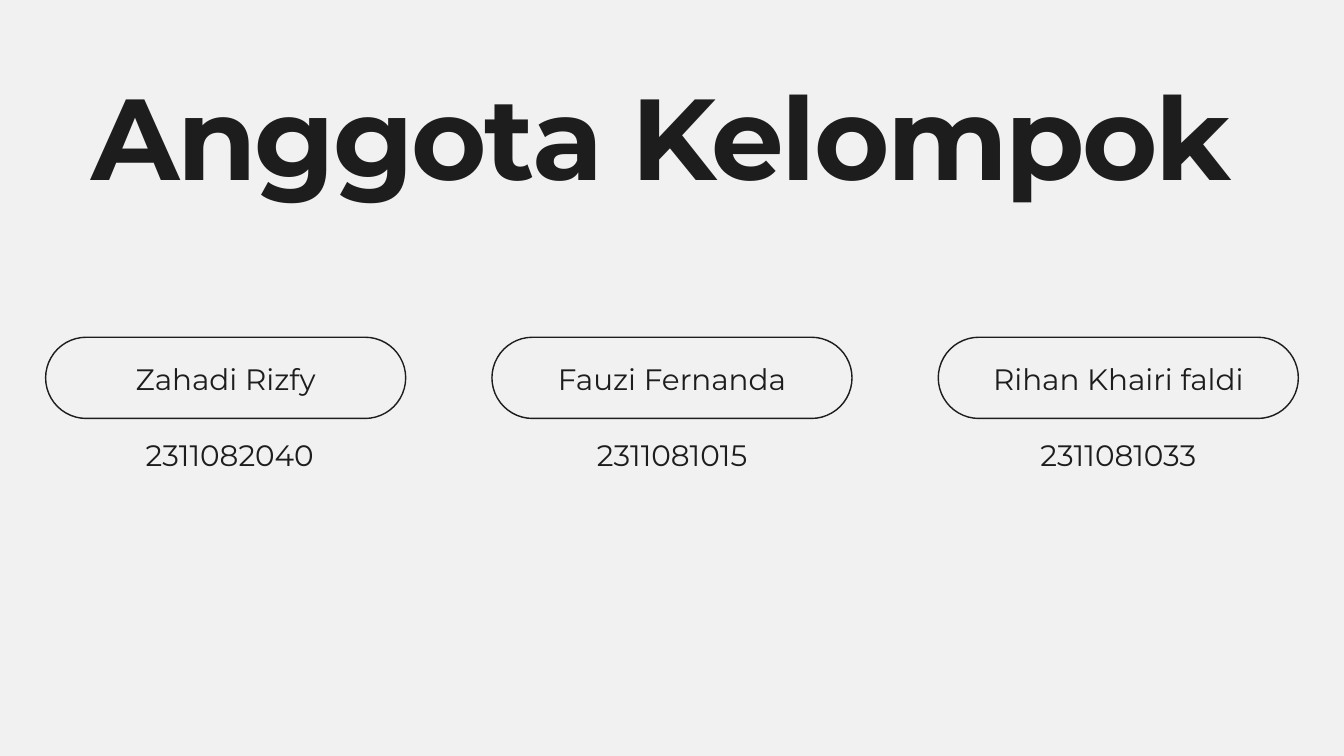
import dataclasses

import pptx
import pptx.dml.color
import pptx.enum.shapes
import pptx.enum.text
import pptx.util
from pptx.util import Cm


@dataclasses.dataclass(frozen=True)
class Theme:
    paper: str = "F1F1F1"
    ink: str = "1D1D1D"
    font: str = "Montserrat"
    title_size: float = 123.4
    title_leading: float = 107.3
    title_spacing: float = -2.5
    text_size: float = 31.6
    text_leading: float = 37.9
    outline: float = 1.5


@dataclasses.dataclass(frozen=True)
class Member:
    name: str
    number: str
    number_shift: float = 0


THEME = Theme()
MEMBERS = [
    Member("Zahadi Rizfy", "2311082040", number_shift=0.15),
    Member("Fauzi Fernanda", "2311081015"),
    Member("Rihan Khairi faldi", "2311081033"),
]

# Lengths in centimetres
SLIDE_W, SLIDE_H = 50.8, 28.58
PITCH = 16.87
PILL_W, PILL_H, PILL_TOP = 13.61, 3.07, 12.75
TEXT_W, TEXT_H = 11.68, 1.32
NAME_TOP, NUMBER_TOP = 13.64, 16.51


def rgb(value: str) -> pptx.dml.color.RGBColor:
    return pptx.dml.color.RGBColor.from_string(value)


def write(sp, text: str, size: float, leading: float, align, bold: bool = False):
    """Fill a text shape with one formatted line and return its run."""
    tf = sp.text_frame
    frame_format = {
        "margin_left": 0, "margin_top": 0, "margin_right": 0, "margin_bottom": 0,
        "word_wrap": True,
        "vertical_anchor": pptx.enum.text.MSO_ANCHOR.TOP,
        "auto_size": pptx.enum.text.MSO_AUTO_SIZE.SHAPE_TO_FIT_TEXT,
    }
    for key, value in frame_format.items():
        setattr(tf, key, value)
    p = tf.paragraphs[0]
    p.alignment = align
    p.line_spacing = pptx.util.Pt(leading)
    r = p.add_run()
    r.text = text
    font_format = {"name": THEME.font, "size": pptx.util.Pt(size), "bold": bold}
    for key, value in font_format.items():
        setattr(r.font, key, value)
    r.font.color.rgb = rgb(THEME.ink)
    return r


def add_title(s, text: str) -> None:
    sp = s.shapes.title
    box = {"left": Cm(3.45), "top": Cm(3.91), "width": Cm(43.89), "height": Cm(4.14)}
    for key, value in box.items():
        setattr(sp, key, value)
    r = write(sp, text, THEME.title_size, THEME.title_leading,
              pptx.enum.text.PP_ALIGN.LEFT, bold=True)
    r.font._element.set("spc", str(round(THEME.title_spacing * 100)))


def add_pill(s, center: float) -> None:
    sp = s.shapes.add_shape(
        pptx.enum.shapes.MSO_SHAPE.ROUNDED_RECTANGLE,
        Cm(center - PILL_W / 2), Cm(PILL_TOP), Cm(PILL_W), Cm(PILL_H))
    sp.adjustments[0] = 0.5
    sp.shadow.inherit = False
    sp.fill.background()
    sp.line.color.rgb = rgb(THEME.ink)
    sp.line.width = pptx.util.Pt(THEME.outline)


def add_label(s, center: float, top: float, text: str) -> None:
    sp = s.shapes.add_textbox(Cm(center - TEXT_W / 2), Cm(top), Cm(TEXT_W), Cm(TEXT_H))
    write(sp, text, THEME.text_size, THEME.text_leading, pptx.enum.text.PP_ALIGN.CENTER)


def add_member(s, center: float, member: Member) -> None:
    add_pill(s, center)
    add_label(s, center, NAME_TOP, member.name)
    add_label(s, center + member.number_shift, NUMBER_TOP, member.number)


def main() -> None:
    prs = pptx.Presentation()
    prs.slide_width, prs.slide_height = Cm(SLIDE_W), Cm(SLIDE_H)
    s = prs.slides.add_slide(prs.slide_layouts.get_by_name("Title Only"))
    s.background.fill.solid()
    s.background.fill.fore_color.rgb = rgb(THEME.paper)

    add_title(s, "Anggota Kelompok")
    middle = (len(MEMBERS) - 1) / 2
    for i, member in enumerate(MEMBERS):
        add_member(s, SLIDE_W / 2 + (i - middle) * PITCH, member)
    prs.save("out.pptx")


if __name__ == "__main__":
    main()
